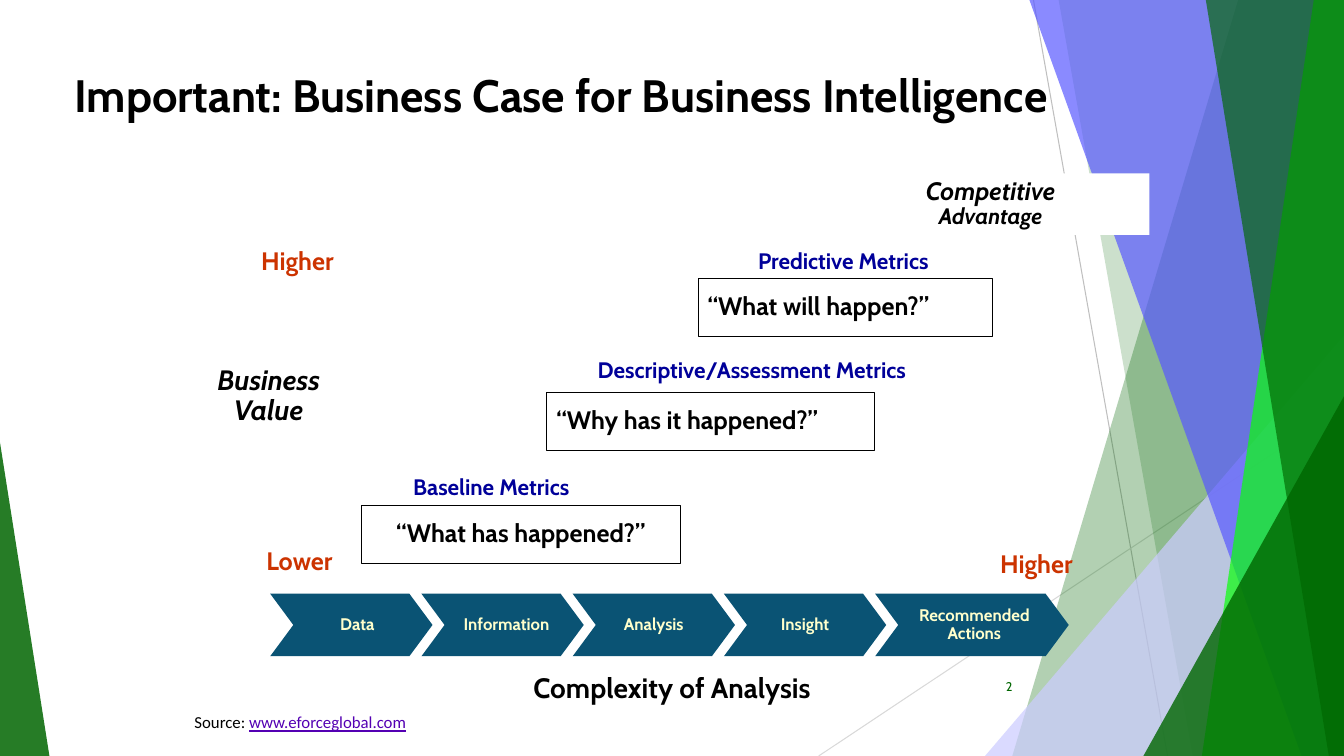
import pptx
import pptx.util
import pptx.dml.color
import pptx.enum.shapes
import pptx.enum.text
import pptx.oxml.ns
import lxml.etree

Inches = pptx.util.Inches
Pt = pptx.util.Pt
Kind = pptx.enum.shapes.MSO_SHAPE
Align = pptx.enum.text.PP_ALIGN
Anchor = pptx.enum.text.MSO_ANCHOR
qn = pptx.oxml.ns.qn

WIDE, HIGH = 13.33, 7.5
HUES = {
    "white": "FFFFFF", "black": "000000", "red": "CC3300", "navy": "000099",
    "teal": "0A5374", "cream": "FFFFCC", "link": "5400B3", "green": "006600",
    "lime": "0AFF0A", "blue": "5959FF", "lilac": "CCCCFF",
    "gray": "BFBFBF", "pale": "D9D9D9",
}
TITLE = {"size": 32.4, "bold": True}
HEAD = {"size": 20, "bold": True}
SLANT = {"size": 20, "bold": True, "italic": True}
LEVEL = {"size": 18, "bold": True, "hue": "red"}
LABEL = {"size": 16, "bold": True, "hue": "navy"}
QUOTE = {"size": 18, "bold": True}
STEP = {"size": 12, "bold": True, "hue": "cream"}
NOTE = {"size": 12, "name": "Calibri"}
PAGE = {"size": 9, "hue": "green"}


def tint(name):
    return pptx.dml.color.RGBColor.from_string(HUES[name])


def paint(shape, hue, alpha=100, edge=None):
    shape.shadow.inherit = False
    shape.fill.solid()
    shape.fill.fore_color.rgb = tint(hue)
    if alpha < 100:
        node = shape._element.spPr.find(".//" + qn("a:srgbClr"))
        lxml.etree.SubElement(node, qn("a:alpha")).set("val", str(alpha * 1000))
    if edge:
        shape.line.color.rgb = tint(edge)
        shape.line.width = Pt(0.25)
    else:
        shape.line.fill.background()


def style(run, form):
    look = {"name": "Cabin", "hue": "black", **form}
    for key, value in look.items():
        if key == "hue":
            run.font.color.rgb = tint(value)
        else:
            setattr(run.font, key, Pt(value) if key == "size" else value)


def write(shape, lines, align=Align.CENTER, anchor=Anchor.MIDDLE,
          pads=(0.1, 0.05, 0.1, 0.05), space=0.9):
    frame = shape.text_frame
    frame.word_wrap = True
    frame.vertical_anchor = anchor
    sides = ("margin_left", "margin_top", "margin_right", "margin_bottom")
    for side, pad in zip(sides, pads):
        setattr(frame, side, Inches(pad))
    for index, runs in enumerate(lines):
        para = frame.add_paragraph() if index else frame.paragraphs[0]
        para.alignment = align
        para.line_spacing = space
        for words, form in runs:
            run = para.add_run()
            run.text = words
            style(run, form)


def text(slide, box, lines, **opts):
    shape = slide.shapes.add_textbox(*map(Inches, box))
    write(shape, lines, **opts)


def block(slide, kind, box, hue, alpha=100, edge=None):
    shape = slide.shapes.add_shape(kind, *map(Inches, box))
    paint(shape, hue, alpha, edge)
    return shape


def ray(slide, start, end, hue):
    line = slide.shapes.add_connector(
        pptx.enum.shapes.MSO_CONNECTOR.STRAIGHT, *map(Inches, start + end))
    line.line.color.rgb = tint(hue)
    line.line.width = Pt(0.75)
    lxml.etree.SubElement(line._element.spPr, qn("a:effectLst"))


def wedge(slide, top, foot, hue, alpha):
    spots = [(WIDE, 0), (WIDE, HIGH), (foot, HIGH)]
    form = slide.shapes.build_freeform(Inches(top), 0)
    form.add_line_segments([tuple(map(Inches, spot)) for spot in spots])
    paint(form.convert_to_shape(), hue, alpha)


def peak(slide, box, hue, alpha, tip=1):
    shape = block(slide, Kind.ISOSCELES_TRIANGLE, box, hue, alpha)
    shape.adjustments[0] = tip


def corner(slide, left, top, hue, alpha):
    peak(slide, (left, top, WIDE - left, HIGH - top), hue, alpha)


def decor(slide):
    ray(slide, (10.25, 0), (11.58, HIGH), "gray")
    ray(slide, (WIDE, 4.03), (8.12, HIGH), "pale")
    wedge(slide, 12.28, 10.04, "green", 30)
    wedge(slide, 10.5, 11.83, "green", 20)
    corner(slide, 9.77, 3.33, "lilac", 72)
    wedge(slide, 10.21, 12.91, "blue", 70)
    wedge(slide, 13.03, 11.92, "lime", 70)
    wedge(slide, 11.96, 13.18, "green", 65)
    corner(slide, 11.34, 3.93, "green", 80)
    peak(slide, (0, 4.39, 0.49, 3.11), "green", 85, 0)


def metric(slide, box, quote, align, label, left, top):
    shape = block(slide, Kind.RECTANGLE, box, "white", edge="black")
    write(shape, [[(quote, QUOTE)]], align)
    text(slide, (left, top, 3.83, 0.34), [[(label, LABEL)]],
         align=Align.LEFT, anchor=Anchor.TOP)


def chain(slide, box):
    left, top, wide, high = box
    steps = [(["Data"], 0.12), (["Information"], 0.08), (["Analysis"], 0),
             (["Insight"], 0), (["Recommended", "Actions"], 0.05)]
    pitch = 1.5
    for index, (words, pad) in enumerate(steps):
        shift = index * pitch
        size = wide - shift if index == len(steps) - 1 else 1.61
        shape = block(slide, Kind.CHEVRON,
                      (left + shift, top, size, high), "teal")
        shape.adjustments[0] = 0.37
        write(shape, [[(word, STEP)] for word in words],
              pads=(pad, 0.05, 0, 0.05))


def chart(slide, box):
    left, top, wide, high = box
    for words, x, y in [("Higher", 0.6, 0.7), ("Lower", 0.62, 3.67),
                        ("Higher", 7.93, 3.7)]:
        text(slide, (left + x, top + y, 1.04, 0.37), [[(words, LEVEL)]])
    text(slide, (left, top + 1.86, 1.67, 0.7),
         [[("Business", SLANT)], [("Value", SLANT)]])
    text(slide, (left + 3, top + 4.92, 3.67, 0.4),
         [[("Complexity of Analysis", HEAD)]])
    metric(slide, (left + 1.75, top + 3.29, 3.17, 0.58),
           "“What has happened?”", Align.CENTER,
           "Baseline Metrics", left + 2.17, top + 2.96)
    metric(slide, (left + 3.59, top + 2.17, 3.25, 0.58),
           "“Why has it happened?”", Align.LEFT,
           "Descriptive/Assessment Metrics", left + 4, top + 1.79)
    metric(slide, (left + 5.09, top + 1.04, 2.92, 0.58),
           "“What will happen?”", Align.LEFT,
           "Predictive Metrics", left + 5.59, top + 0.71)
    chain(slide, (left + 0.85, top + 4.17, 7.92, 0.62))
    goal = block(slide, Kind.RECTANGLE,
                 (left + wide - 3.15, top, 3.15, 0.61), "white")
    write(goal, [[("Competitive", {**SLANT, "size": 18})],
                 [("Advantage", {**SLANT, "size": 16})]])


def frame(slide):
    text(slide, (0.64, 0.62, 11, 0.61),
         [[("Important: Business Case for Business Intelligence", TITLE)]],
         align=Align.LEFT, anchor=Anchor.TOP, space=1)
    text(slide, (1.83, 7, 2.5, 0.33),
         [[("Source: ", NOTE),
           ("www.eforceglobal.com",
            {**NOTE, "hue": "link", "underline": True})]],
         align=Align.LEFT, space=1)
    text(slide, (9.39, 6.61, 0.75, 0.4), [[("2", PAGE)]],
         align=Align.RIGHT, space=1)


def main():
    deck = pptx.Presentation()
    deck.slide_width = Inches(WIDE)
    deck.slide_height = Inches(HIGH)
    slide = deck.slides.add_slide(deck.slide_layouts[6])
    decor(slide)
    chart(slide, (1.83, 1.72, 9.57, 5.32))
    frame(slide)
    deck.save("out.pptx")


if __name__ == "__main__":
    main()
